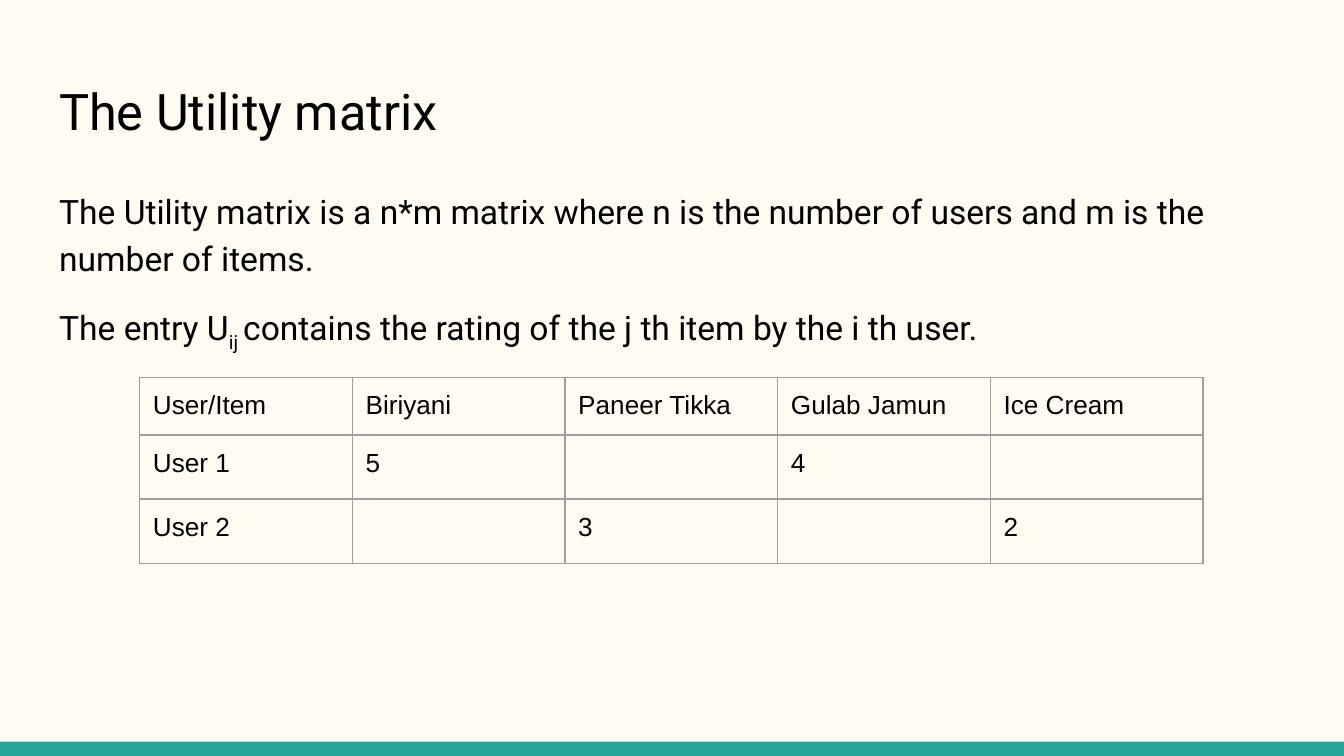
from lxml import etree
from pptx import Presentation
from pptx.dml.color import RGBColor
from pptx.enum import shapes, text
from pptx.oxml import ns
from pptx.util import Cm, Pt

CREAM = RGBColor(0xFF, 0xFB, 0xF0)
TEAL = RGBColor(0x26, 0xA6, 0x9A)
GREY = RGBColor(0x9E, 0x9E, 0x9E)
BLACK = RGBColor(0, 0, 0)

TITLE = "The Utility matrix"
# Each paragraph is a list of (words, is subscript).
BODY = [
    [("The Utility matrix is a n*m matrix where n is the number of users "
      "and m is the number of items.", False)],
    [("The entry U", False), ("ij ", True),
     ("contains the rating of the j th item by the i th user.", False)],
]
RATINGS = [
    ["User/Item", "Biriyani", "Paneer Tikka", "Gulab Jamun", "Ice Cream"],
    ["User 1", "5", "", "4", ""],
    ["User 2", "", "3", "", "2"],
]
WIDE, HIGH = 25.4, 14.29
LEFT, SPAN = 0.87, 23.67
PAD = Cm(0.25)
COL = 4.02
ROWS = [1.07, 1.21, 1.21]


def style(para, name, size):
    para.font.name = name
    para.font.size = Pt(size)
    para.font.color.rgb = BLACK


def add_text(slide, top, high, paras, size, anchor):
    frame = slide.shapes.add_textbox(Cm(LEFT), Cm(top), Cm(SPAN), Cm(high)).text_frame
    frame.word_wrap = True
    frame.vertical_anchor = anchor
    frame.margin_left = frame.margin_right = PAD
    frame.margin_top = frame.margin_bottom = PAD
    for i, parts in enumerate(paras):
        para = frame.add_paragraph() if i else frame.paragraphs[0]
        style(para, "Roboto", size)
        for words, low in parts:
            run = para.add_run()
            run.text = words
            if low:
                run.font._element.set("baseline", "-25000")
    return frame


def add_border(cell):
    props = cell._tc.get_or_add_tcPr()
    for side in ("lnL", "lnR", "lnT", "lnB"):
        line = etree.SubElement(props, ns.qn("a:" + side), w=str(Pt(0.75)))
        fill = etree.SubElement(line, ns.qn("a:solidFill"))
        etree.SubElement(fill, ns.qn("a:srgbClr"), val=str(GREY))


def add_ratings(slide):
    cols = len(RATINGS[0])
    table = slide.shapes.add_table(len(ROWS), cols, Cm(2.64), Cm(7.13),
                                   Cm(COL * cols), Cm(sum(ROWS))).table
    table.first_row = table.horz_banding = False
    for col in table.columns:
        col.width = Cm(COL)
    for r, (high, row) in enumerate(zip(ROWS, RATINGS)):
        table.rows[r].height = Cm(high)
        for c, words in enumerate(row):
            cell = table.cell(r, c)
            cell.margin_left = cell.margin_right = PAD
            cell.margin_top = cell.margin_bottom = PAD
            add_border(cell)
            cell.fill.background()
            cell.text = words
            style(cell.text_frame.paragraphs[0], "Arial", 14)


def main():
    deck = Presentation()
    deck.slide_width, deck.slide_height = Cm(WIDE), Cm(HIGH)
    slide = deck.slides.add_slide(deck.slide_layouts[6])
    slide.background.fill.solid()
    slide.background.fill.fore_color.rgb = CREAM

    bar = slide.shapes.add_shape(shapes.MSO_SHAPE.RECTANGLE, 0, Cm(HIGH - 0.27),
                                 Cm(WIDE), Cm(0.27))
    bar.shadow.inherit = False
    bar.fill.solid()
    bar.fill.fore_color.rgb = TEAL
    bar.line.fill.background()

    add_text(slide, 1.24, 1.7, [[(TITLE, False)]], 27, text.MSO_ANCHOR.MIDDLE)
    body = add_text(slide, 3.25, 9.45, BODY, 18, text.MSO_ANCHOR.TOP)
    for para in body.paragraphs:
        para.line_spacing = 1.15
    body.paragraphs[1].space_before = Pt(12)
    add_ratings(slide)
    deck.save("out.pptx")


if __name__ == "__main__":
    main()
